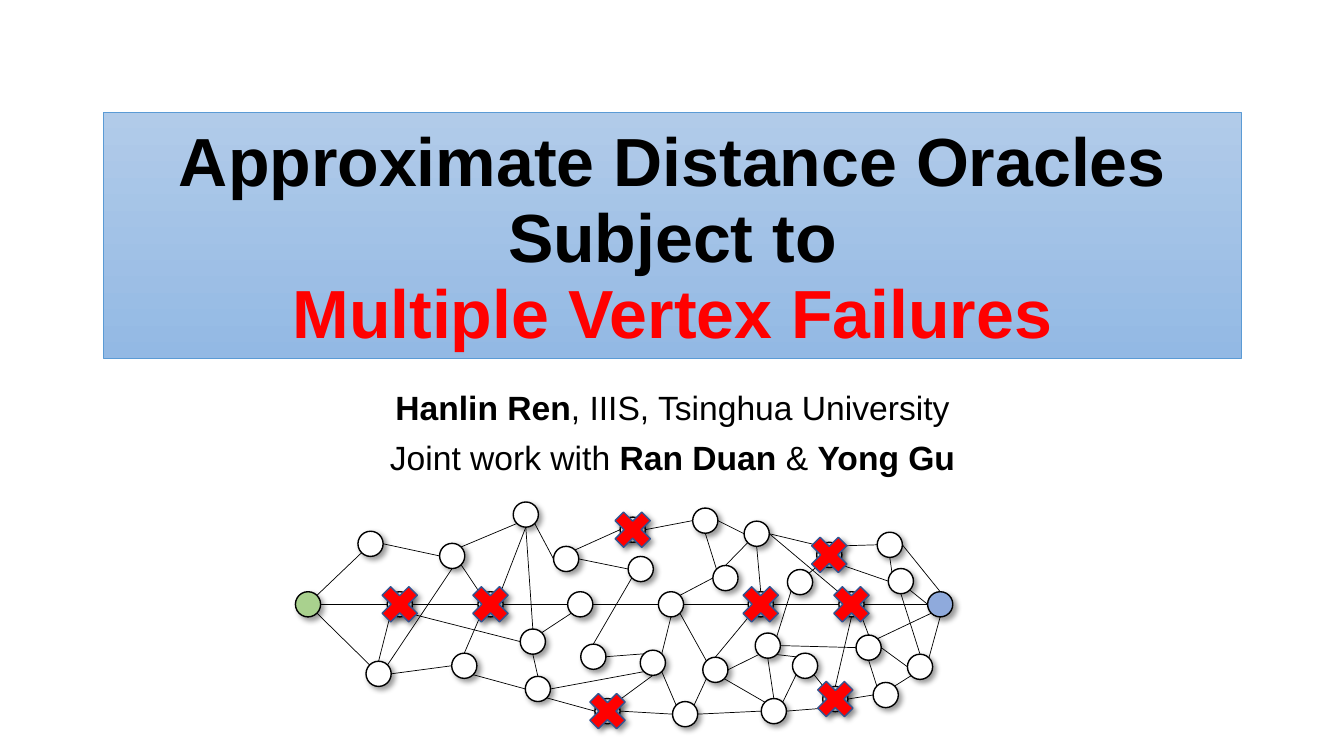
from lxml import etree
from pptx import Presentation
from pptx import util as u
from pptx.dml import color
from pptx.enum import shapes, text
from pptx.oxml import ns

NODE_SIZE = 0.25
CROSS_SIZE = 0.51
DIAGONAL = 0.71
SITES = {
    "n": (0, -1), "s": (0, 1), "w": (-1, 0), "e": (1, 0),
    "nw": (-DIAGONAL, -DIAGONAL), "ne": (DIAGONAL, -DIAGONAL),
    "sw": (-DIAGONAL, DIAGONAL), "se": (DIAGONAL, DIAGONAL),
}

PATH_LEFTS = [2.93, 3.84, 4.74, 5.63, 6.53, 7.42, 8.32, 9.2]
PATH_TOP = 5.87
NODES = {str(number): (left, PATH_TOP) for number, left in enumerate(PATH_LEFTS)}
NODES.update({
    "A": (3.55, 5.27), "B": (4.36, 5.39), "C": (3.63, 6.56), "D": (4.48, 6.48),
    "E": (5.21, 6.71), "F": (5.76, 6.39), "G": (5.09, 4.98), "H": (5.49, 5.42),
    "I": (6.15, 5.13), "J": (6.23, 5.52), "K": (6.35, 6.45), "L": (5.9, 6.93),
    "M": (6.67, 6.96), "N": (6.97, 6.52), "O": (6.87, 5.04), "P": (7.07, 5.61),
    "Q": (5.16, 6.24), "R": (7.86, 6.48), "S": (7.55, 6.93), "T": (7.38, 5.17),
    "U": (8.1, 5.38), "V": (7.81, 5.65), "W": (7.49, 6.28), "X": (8.49, 6.3),
    "Y": (9, 6.49), "Z": (8.16, 6.81), "a": (8.66, 6.77), "b": (8.7, 5.28),
    "c": (8.81, 5.64),
})
NODE_FILLS = {"0": "A9D18E", "7": "8FAADC"}
FAILED_NODES = "12IL5ZU6"

PATH_EDGES = [f"{number}.e-{number + 1}.w" for number in range(len(PATH_LEFTS) - 1)]
OTHER_EDGES = """
0.ne-A.sw 0.se-C.nw A.e-B.w B.se-2.nw 2.sw-D.n D.se-E.w E.e-K.sw K.nw-F.e
F.n-J.sw J.w-H.e H.ne-I.w I.e-O.w O.s-P.nw P.w-4.ne 1.sw-C.n C.e-D.w
C.ne-B.s B.ne-G.sw H.w-G.se G.s-2.ne Q.ne-3.sw 4.se-N.nw N.e-W.sw W.ne-V.sw
V.ne-U.sw U.ne-b.w b.e-7.n b.s-c.nw c.se-7.w G.s-Q.n K.se-M.nw E.se-L.w
L.ne-K.s E.n-Q.s 4.s-K.ne M.ne-N.sw M.w-L.e O.e-T.w T.sw-P.n T.s-5.n
T.e-6.nw U.nw-T.e W.s-S.n M.e-S.w N.se-S.nw N.n-5.sw W.e-X.w R.se-Z.nw
W.se-R.nw S.ne-R.sw Z.sw-S.e 6.se-X.n 6.s-Z.n 7.sw-X.ne c.s-Y.n U.se-c.w
X.s-a.nw Z.e-a.w a.ne-Y.sw X.e-Y.w 1.se-Q.w Y.ne-7.s
""".split()


def rgb(value):
    return color.RGBColor.from_string(value)


def set_line(line, value, width):
    line.color.rgb = rgb(value)
    line.width = u.Pt(width)


def place(shape, left, top, width, height):
    shape.left, shape.top = u.Inches(left), u.Inches(top)
    shape.width, shape.height = u.Inches(width), u.Inches(height)


def format_run(run, size, value, bold):
    run.font.name = "Arial"
    run.font.size = u.Pt(size)
    run.font.bold = bold
    run.font.color.rgb = rgb(value)


def add_shadow(shape):
    effects = etree.SubElement(shape._element.spPr, ns.qn("a:effectLst"))
    shadow = etree.SubElement(
        effects, ns.qn("a:outerShdw"), blurRad=str(u.Pt(4)), dist=str(u.Pt(3)),
        dir="2700000", algn="tl", rotWithShape="0")
    shade = etree.SubElement(shadow, ns.qn("a:srgbClr"), val="000000")
    etree.SubElement(shade, ns.qn("a:alpha"), val="40000")


def node_center(name):
    left, top = NODES[name]
    return left + NODE_SIZE / 2, top + NODE_SIZE / 2


def add_marker(group, kind, name, size, fill, line):
    x, y = node_center(name)
    marker = group.shapes.add_shape(
        kind, u.Inches(x - size / 2), u.Inches(y - size / 2),
        u.Inches(size), u.Inches(size))
    marker.fill.solid()
    marker.fill.fore_color.rgb = rgb(fill)
    set_line(marker.line, line, 1)
    add_shadow(marker)


def edge_end(end):
    name, site = end.split(".")
    x, y = node_center(name)
    across, down = SITES[site]
    return (u.Inches(x + across * NODE_SIZE / 2),
            u.Inches(y + down * NODE_SIZE / 2))


def add_edge(group, edge):
    start, finish = edge.split("-")
    connector = group.shapes.add_connector(
        shapes.MSO_CONNECTOR.STRAIGHT, *edge_end(start), *edge_end(finish))
    set_line(connector.line, "000000", 0.5)
    etree.SubElement(connector._element.spPr, ns.qn("a:effectLst"))


def format_title(title):
    place(title, 1.03, 1.11, 11.28, 2.45)
    title.fill.gradient()
    title.fill.gradient_angle = 270
    for stop, value in zip(title.fill.gradient_stops, ["B1CBE9", "93B9E4"]):
        stop.color.rgb = rgb(value)
    set_line(title.line, "5B9BD5", 0.5)
    frame = title.text_frame
    frame.auto_size = text.MSO_AUTO_SIZE.NONE
    frame.vertical_anchor = text.MSO_ANCHOR.BOTTOM
    paragraph = frame.paragraphs[0]
    paragraph.text = "Approximate Distance Oracles\vSubject to\vMultiple Vertex Failures"
    paragraph.alignment = text.PP_ALIGN.CENTER
    paragraph.line_spacing = 0.93
    for run, value in zip(paragraph.runs, ["000000", "000000", "FF0000"]):
        format_run(run, 48.6, value, True)


def add_author_line(paragraph, pieces):
    paragraph.alignment = text.PP_ALIGN.CENTER
    paragraph.line_spacing = 0.9
    paragraph.space_before = u.Pt(10)
    for words, bold in pieces:
        run = paragraph.add_run()
        run.text = words
        format_run(run, 24, "000000", bold)


def format_authors(subtitle):
    place(subtitle, 1.67, 3.83, 10, 1.34)
    frame = subtitle.text_frame
    frame.auto_size = text.MSO_AUTO_SIZE.NONE
    frame.vertical_anchor = text.MSO_ANCHOR.TOP
    add_author_line(frame.paragraphs[0], [
        ("Hanlin Ren", True), (", IIIS, Tsinghua University", False)])
    add_author_line(frame.add_paragraph(), [
        ("Joint work with ", False), ("Ran Duan", True),
        (" & ", False), ("Yong Gu", True)])


def add_graph(slide):
    graph = slide.shapes.add_group_shape()
    for name in NODES:
        add_marker(graph, shapes.MSO_SHAPE.OVAL, name, NODE_SIZE,
                   NODE_FILLS.get(name, "FFFFFF"), "000000")
    for edge in PATH_EDGES + OTHER_EDGES:
        add_edge(graph, edge)
    for name in FAILED_NODES:
        add_marker(graph, shapes.MSO_SHAPE.MATH_MULTIPLY, name, CROSS_SIZE,
                   "FF0000", "325491")


def main():
    presentation = Presentation()
    presentation.slide_width = u.Inches(13.33)
    presentation.slide_height = u.Inches(7.5)
    slide = presentation.slides.add_slide(presentation.slide_layouts[0])
    format_title(slide.shapes.title)
    format_authors(slide.placeholders[1])
    add_graph(slide)
    presentation.save("out.pptx")


if __name__ == "__main__":
    main()
